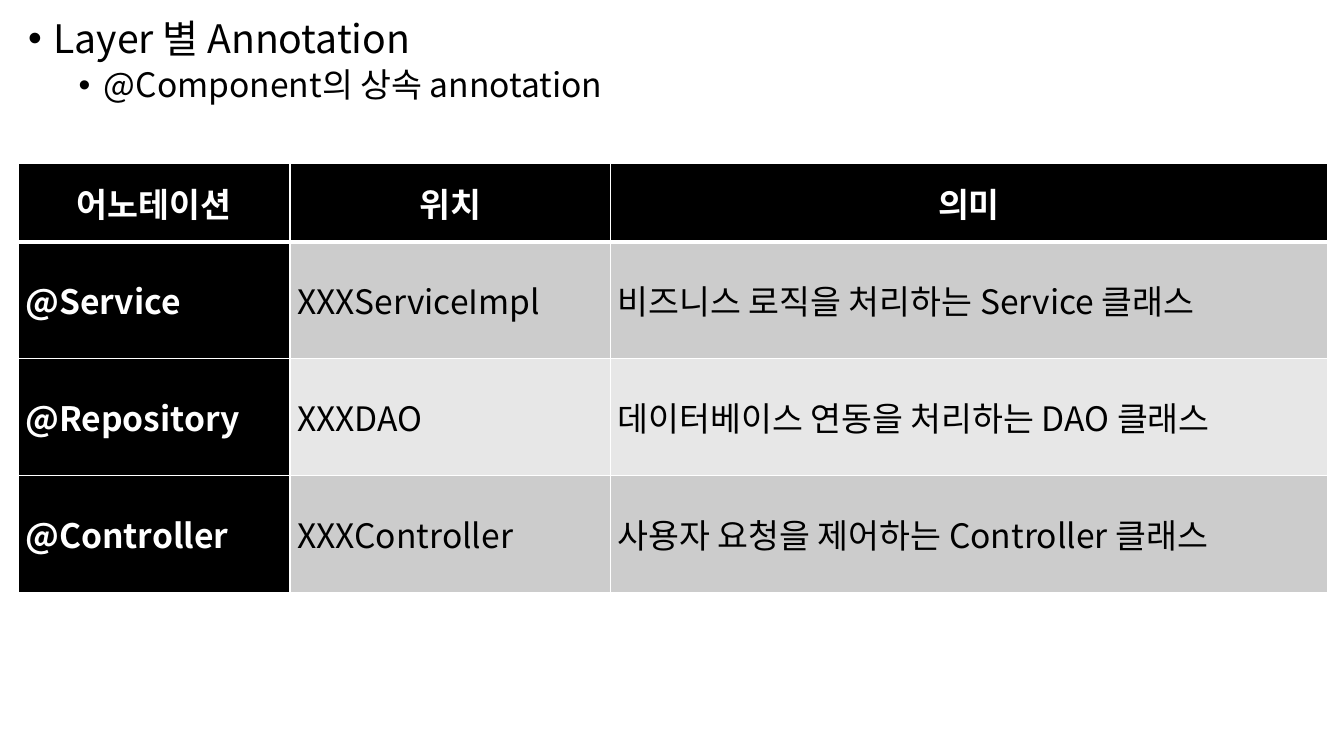
from lxml.etree import SubElement
from pptx import Presentation
from pptx.dml.color import RGBColor
from pptx.enum.text import MSO_ANCHOR, PP_ALIGN
from pptx.oxml.ns import qn
from pptx.util import Cm, Pt

BLACK = RGBColor(0, 0, 0)
WHITE = RGBColor(255, 255, 255)
DARK = RGBColor(0xCC, 0xCC, 0xCC)
LIGHT = RGBColor(0xE7, 0xE7, 0xE7)
FONT = "Noto Sans CJK KR"

LEFT, WIDTH = Cm(0.46), Cm(33)
COLS = [6.85, 8.07, 18.08]
HEAD, BODY = 1.97, 2.95

POINTS = [("Layer 별 Annotation", 28, 10), ("@Component의 상속 annotation", 24, 5)]
ROWS = [
    ("어노테이션", "위치", "의미"),
    ("@Service", "XXXServiceImpl", "비즈니스 로직을 처리하는 Service 클래스"),
    ("@Repository", "XXXDAO", "데이터베이스 연동을 처리하는 DAO 클래스"),
    ("@Controller", "XXXController", "사용자 요청을 제어하는 Controller 클래스"),
]


def set_font(para, size, color, bold=False):
    font = para.font
    font.name, font.size, font.bold = FONT, Pt(size), bold
    font.color.rgb = color
    # Korean glyphs take the East Asian typeface
    props = para._p.pPr.find(qn("a:defRPr"))
    SubElement(props, qn("a:ea"), typeface=FONT)


def add_bullet(para, level):
    props = para._p.get_or_add_pPr()
    props.set("marL", str(Cm(0.64 + 1.27 * level)))
    props.set("indent", str(-Cm(0.64)))
    SubElement(props, qn("a:buFont"), typeface="Arial")
    SubElement(props, qn("a:buChar"), char="•")


def add_points(slide):
    frame = slide.shapes.add_textbox(LEFT, Cm(0.36), WIDTH, Cm(18.34)).text_frame
    frame.word_wrap = True
    for level, (text, size, gap) in enumerate(POINTS):
        para = frame.add_paragraph() if level else frame.paragraphs[0]
        para.text, para.level = text, level
        para.line_spacing, para.space_before = 0.9, Pt(gap)
        add_bullet(para, level)
        set_font(para, size, BLACK)


def add_edges(cell, top, bottom):
    props = cell._tc.get_or_add_tcPr()
    for side, width in (("L", 1), ("R", 1), ("T", top), ("B", bottom)):
        line = SubElement(props, qn("a:ln" + side), w=str(Pt(width)))
        fill = SubElement(line, qn("a:solidFill"))
        SubElement(fill, qn("a:srgbClr"), val=str(WHITE))


def fill_cell(cell, text, row, col):
    title = row == 0 or col == 0
    add_edges(cell, 3 if row == 1 else 1, 3 if row == 0 else 1)
    cell.fill.solid()
    cell.fill.fore_color.rgb = BLACK if title else DARK if row % 2 else LIGHT
    cell.vertical_anchor = MSO_ANCHOR.MIDDLE
    cell.margin_left = cell.margin_right = Cm(0.18)
    cell.margin_top = cell.margin_bottom = 0
    cell.text = text
    para = cell.text_frame.paragraphs[0]
    para.alignment = PP_ALIGN.LEFT if row else PP_ALIGN.CENTER
    set_font(para, 24, WHITE if title else BLACK, title)


def add_grid(slide):
    high = Cm(HEAD + BODY * (len(ROWS) - 1))
    grid = slide.shapes.add_table(len(ROWS), len(COLS), LEFT, Cm(4.12), WIDTH, high).table
    for col, width in zip(grid.columns, COLS):
        col.width = Cm(width)
    for row, texts in enumerate(ROWS):
        grid.rows[row].height = Cm(BODY if row else HEAD)
        for col, text in enumerate(texts):
            fill_cell(grid.cell(row, col), text, row, col)


def main():
    deck = Presentation()
    deck.slide_width, deck.slide_height = Cm(33.87), Cm(19.05)
    slide = deck.slides.add_slide(deck.slide_layouts[6])
    # Heading points above, annotation table below
    add_points(slide)
    add_grid(slide)
    deck.save("out.pptx")


main()
